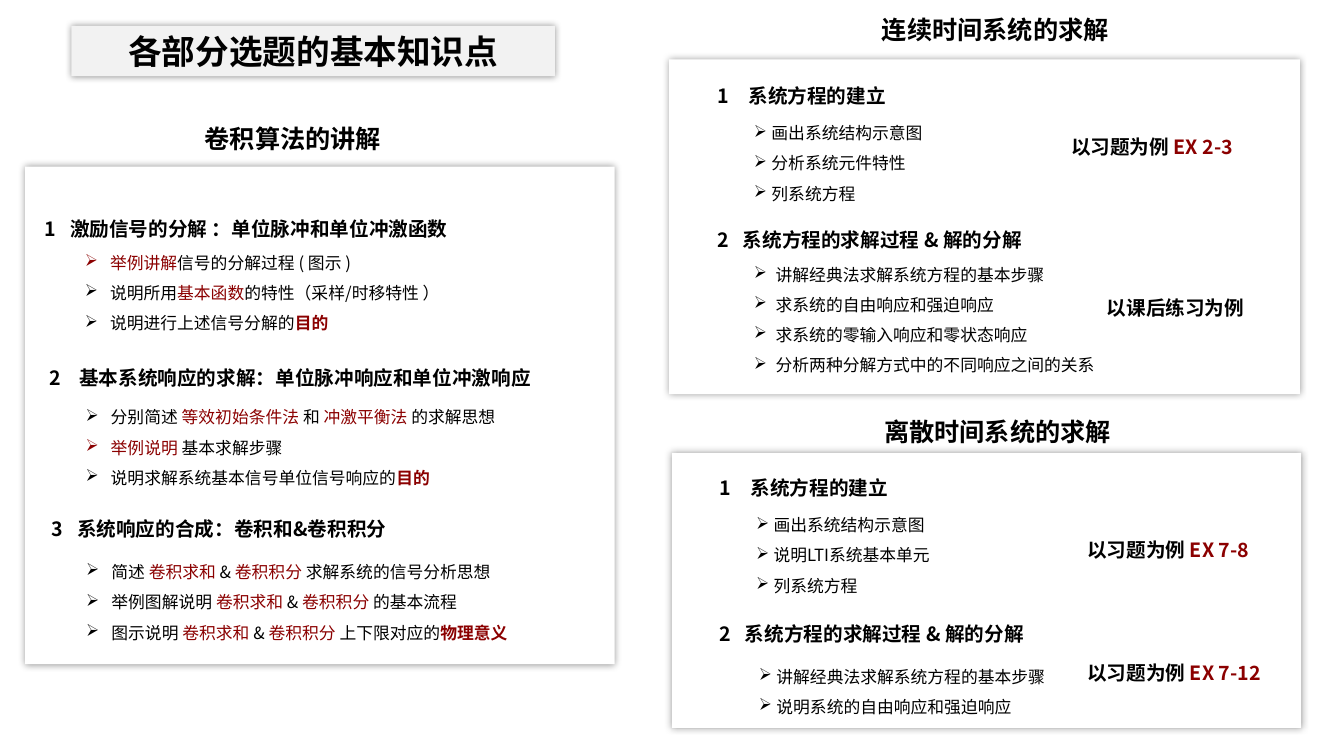
"""Build a slide of key points for signal and system topics."""
from pptx import Presentation, oxml
from pptx.dml import color
from pptx.enum import shapes, text
from pptx.oxml import ns
from pptx.util import Pt

HUES = {"ink": "000000", "red": "8B0000", "white": "FFFFFF", "pale": "F2F2F2"}
FONT = "Noto Sans CJK SC"
MID, LOW, TOP = (text.MSO_ANCHOR.MIDDLE, text.MSO_ANCHOR.BOTTOM,
                 text.MSO_ANCHOR.TOP)


def rgb(hue):
    return color.RGBColor.from_string(HUES[hue])


def node(tag, body=""):
    return oxml.parse_xml(f"<a:{tag} {ns.nsdecls('a')}>{body}</a:{tag.split()[0]}>")


class Page:
    def __init__(self, slide):
        self.slide = slide

    def runs(self, par, line, size, bold):
        for i, part in enumerate(line.split("*")):
            if not part:
                continue
            run = par.add_run()
            run.text = part.lstrip("!")
            form = {"size": Pt(size), "name": FONT,
                    "bold": bold or part.startswith("!")}
            for key, val in form.items():
                setattr(run.font, key, val)
            run.font.color.rgb = rgb("red" if i % 2 else "ink")
            run._r.get_or_add_rPr().append(node(f'ea typeface="{FONT}"'))

    def fill(self, frame, lines, size, bold, anchor, center=False, tab=0, mark=0):
        form = {"word_wrap": True, "vertical_anchor": anchor}
        for key, val in form.items():
            setattr(frame, key, val)
        for i, line in enumerate(lines):
            par = frame.add_paragraph() if i else frame.paragraphs[0]
            par.alignment = text.PP_ALIGN.CENTER if center else text.PP_ALIGN.LEFT
            props = par._p.get_or_add_pPr()
            if mark:
                par.line_spacing = 1.5
                props.set("marL", str(Pt(mark)))
                props.set("indent", str(-Pt(mark)))
                props.append(node('buChar char="➢"'))
            if tab:
                props.append(node("tabLst", f'<a:tab pos="{Pt(tab)}" algn="l"/>'))
            self.runs(par, line, size, bold)

    def panel(self, box, hue="white"):
        shape = self.slide.shapes.add_shape(
            shapes.MSO_SHAPE.RECTANGLE, *map(Pt, box))
        shape.fill.solid()
        shape.fill.fore_color.rgb = rgb(hue)
        shape.line.fill.background()
        glow = (f'<a:outerShdw blurRad="{Pt(5)}" dist="0" dir="0" algn="ctr">'
                f'<a:srgbClr val="{HUES["ink"]}"><a:alpha val="40000"/>'
                '</a:srgbClr></a:outerShdw>')
        shape._element.spPr.append(node("effectLst", glow))
        return shape

    def banner(self, box, line):
        self.fill(self.panel(box, "pale").text_frame, [line], 24, True, MID, True)

    def label(self, box, lines, size=14, bold=True, anchor=LOW, **form):
        frame = self.slide.shapes.add_textbox(*map(Pt, box)).text_frame
        self.fill(frame, lines, size, bold, anchor, **form)

    def title(self, box, line):
        self.label(box, [line], 18, center=True)

    def head(self, box, tab, line):
        self.label(box, [line], tab=tab)

    def points(self, box, mark, lines):
        self.label(box, lines, 12, False, mark=mark)

    def note(self, box, line):
        self.label(box, [line], anchor=TOP)


PANELS = [(18, 119, 421, 355.5), (478, 42.5, 450.5, 239), (480, 323.5, 449.5, 196.5)]
TITLES = [
    ((70, 85.5, 278.5, 28), "卷积算法的讲解"),
    ((609, 9.5, 204, 26), "连续时间系统的求解"),
    ((610.5, 296.5, 204, 26), "离散时间系统的求解"),
]
BUILD = "1\t系统方程的建立"
SOLVE = "2\t系统方程的求解过程 & 解的分解"
HEADS = [
    ((25, 150.5, 346, 24.5), 18, "1\t激励信号的分解 ：单位脉冲和单位冲激函数"),
    ((28, 254, 360, 27.5), 21.5, "2\t基本系统响应的求解：单位脉冲响应和单位冲激响应"),
    ((29.5, 365, 343, 24.5), 18.5, "3\t系统响应的合成：卷积和&卷积积分"),
    ((505.5, 47.5, 170.5, 33), 22, BUILD),
    ((505.5, 152.5, 256, 31), 18, SOLVE),
    ((507, 327.5, 165.5, 33), 22, BUILD),
    ((507, 433.5, 256, 31), 18, SOLVE),
]
DRAW, LIST = "画出系统结构示意图", "列系统方程"
STEPS = "讲解经典法求解系统方程的基本步骤"
SUMS = "*卷积求和 *& *卷积积分 *"
POINTS = [
    ((53.5, 166.5, 326, 75), 18, [
        "*举例讲解*信号的分解过程 ( 图示 )",
        "说明所用*基本函数*的特性（采样/时移特性 ）",
        "说明进行上述信号分解的*!目的*"]),
    ((54, 278.5, 326, 73.5), 18, [
        "分别简述 *等效初始条件法 *和 *冲激平衡法 *的求解思想",
        "*举例说明 *基本求解步骤",
        "说明求解系统基本信号单位信号响应的*!目的*"]),
    ((54.5, 382.5, 339, 80), 18, [
        f"简述 {SUMS}求解系统的信号分析思想",
        f"举例图解说明 {SUMS}的基本流程",
        f"图示说明 {SUMS}上下限对应的*!物理意义*"]),
    ((531.5, 77, 174, 72), 12.5, [DRAW, "分析系统元件特性", LIST]),
    ((531.5, 178.5, 282, 93), 15.5, [
        STEPS, "求系统的自由响应和强迫响应", "求系统的零输入响应和零状态响应",
        "分析两种分解方式中的不同响应之间的关系"]),
    ((533, 357, 169, 72), 12.5, [DRAW, "说明LTI系统基本单元", LIST]),
    ((535, 462, 262, 53.5), 12.5, [STEPS, "说明系统的自由响应和强迫响应"]),
]
NOTES = [
    ((758, 93, 132, 24.5), "以习题为例 *EX 2-3*"),
    ((783.5, 208, 117.5, 24.5), "以课后练习为例"),
    ((769.5, 381, 139.5, 24.5), "以习题为例 *EX 7-8*"),
    ((769.5, 468.5, 139.5, 24.5), "以习题为例 *EX 7-12*"),
]


def main():
    deck = Presentation()
    deck.slide_width, deck.slide_height = Pt(960), Pt(540)
    page = Page(deck.slides.add_slide(deck.slide_layouts[6]))
    for box in PANELS:
        page.panel(box)
    page.banner((51, 18.5, 345.5, 36), "各部分选题的基本知识点")
    for draw, items in ((page.title, TITLES), (page.head, HEADS),
                        (page.points, POINTS), (page.note, NOTES)):
        for item in items:
            draw(*item)
    deck.save("out.pptx")


if __name__ == "__main__":
    main()
